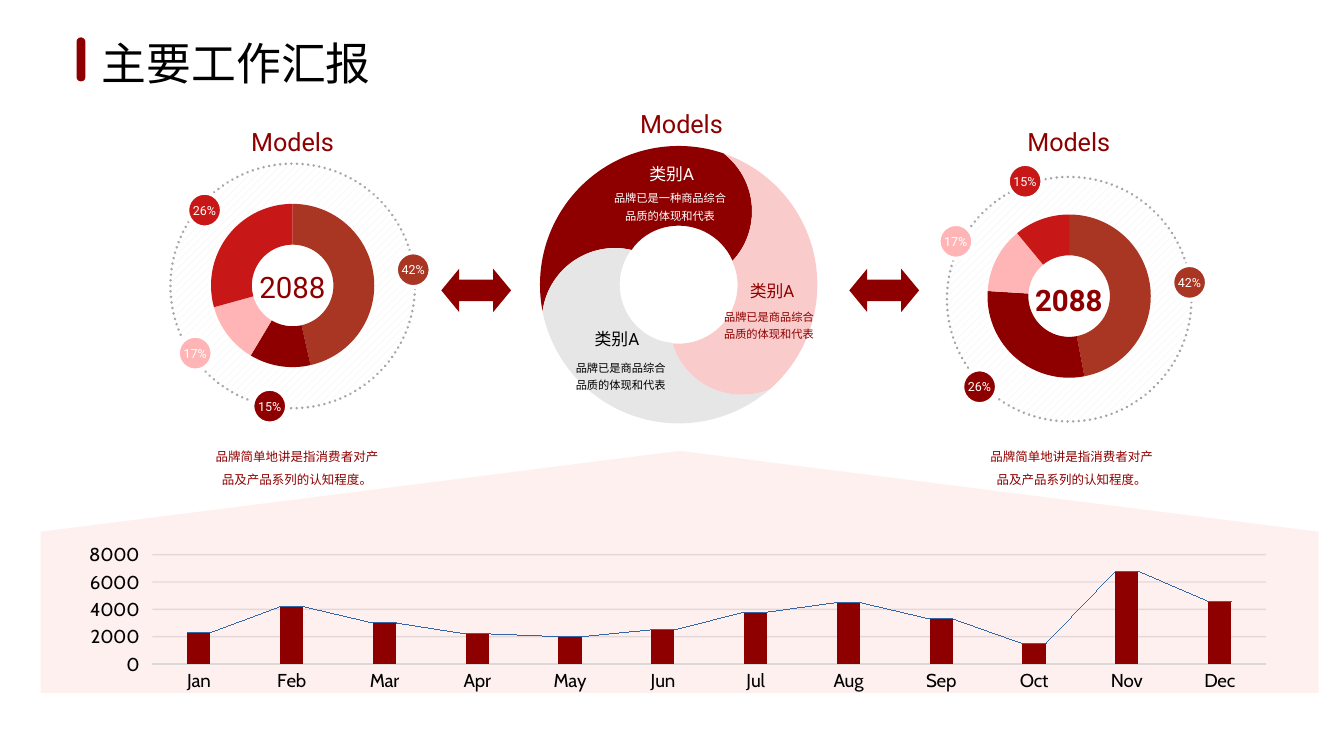
from math import cos, radians, sin, tan

from pptx import Presentation
from pptx.chart.data import CategoryChartData
from pptx.dml.color import RGBColor
from pptx.enum.chart import XL_CHART_TYPE as ChartType, XL_TICK_MARK as Tick
from pptx.enum.dml import MSO_LINE, MSO_PATTERN
from pptx.enum.shapes import MSO_SHAPE as Preset
from pptx.enum.text import MSO_ANCHOR, MSO_AUTO_SIZE, PP_ALIGN
from pptx.oxml import parse_xml
from pptx.oxml.ns import nsdecls, qn
from pptx.util import Pt

DARK_RED = RGBColor(0x8E, 0x00, 0x00)
RUST = RGBColor(0xA8, 0x36, 0x23)
PINK = RGBColor(0xFF, 0xB5, 0xB5)
RED = RGBColor(0xC7, 0x17, 0x17)
PALE_PINK = RGBColor(0xF9, 0xCB, 0xCB)
LIGHT_GREY = RGBColor(0xE7, 0xE6, 0xE6)
HATCH_GREY = RGBColor(0xF2, 0xF2, 0xF2)
DOT_GREY = RGBColor(0xA6, 0xA6, 0xA6)
AXIS_GREY = RGBColor(0xD9, 0xD9, 0xD9)
BLACK = RGBColor(0x00, 0x00, 0x00)
WHITE = RGBColor(0xFF, 0xFF, 0xFF)

SWIRL_CENTER = (363.6, 152.5)
SWIRL_OUTER, SWIRL_INNER, SWIRL_EDGE = 74.3, 31.6, 39.3

MONTHLY = {"Jan": 2300, "Feb": 4200, "Mar": 3000, "Apr": 2200,
           "May": 2000, "Jun": 2500, "Jul": 3800, "Aug": 4500,
           "Sep": 3300, "Oct": 1500, "Nov": 6800, "Dec": 4600}


def box(*lengths):
    return [Pt(length) for length in lengths]


def around(center, width, height):
    return center[0] - width / 2, center[1] - height / 2, width, height


def style_text(frame, text, font, size, color, align=PP_ALIGN.CENTER, bold=None):
    paragraph = frame.paragraphs[0]
    paragraph.text = text
    paragraph.alignment = align
    paragraph.font.name = font
    paragraph.font.size = Pt(size)
    paragraph.font.color.rgb = color
    paragraph.font.bold = bold
    return paragraph


def add_text(slide, bounds, text, size, color, font="Roboto", inset=None,
             wrap=True, **style):
    frame = slide.shapes.add_textbox(*box(*bounds)).text_frame
    frame.word_wrap = wrap
    frame.auto_size = MSO_AUTO_SIZE.SHAPE_TO_FIT_TEXT
    if inset is not None:
        frame.margin_left = frame.margin_right = Pt(inset)
        frame.margin_top = frame.margin_bottom = Pt(inset)
    return style_text(frame, text, font, size, color, **style)


def paint(shape, color):
    shape.shadow.inherit = False
    shape.fill.solid()
    shape.fill.fore_color.rgb = color
    shape.line.fill.background()
    return shape


def add_filled(slide, preset, bounds, color):
    return paint(slide.shapes.add_shape(preset, *box(*bounds)), color)


def set_opacity(element, percent):
    for color in element.iter(qn("a:srgbClr")):
        color.append(parse_xml(f'<a:alpha {nsdecls("a")} val="{percent * 1000}"/>'))


def polar(center, radius, angle):
    a = radians(angle)
    return center[0] + radius * cos(a), center[1] + radius * sin(a)


def arc(center, radius, start, end, curves):
    """Bezier points of an arc, three for each curve, without its first point."""
    step = (end - start) / curves
    pull = 4 / 3 * tan(radians(step / 4)) * radius
    points = []
    for i in range(curves):
        a, b = start + i * step, start + (i + 1) * step
        first, last = polar(center, radius, a), polar(center, radius, b)
        points += [polar(first, pull, a + 90), polar(last, pull, b - 90), last]
    return points


def add_swirl_blade(slide, turn, color):
    """One third of the swirl, turned by the given degrees."""
    def edge(angle, start, end):
        pivot = polar(SWIRL_CENTER, SWIRL_EDGE, angle - 90)
        return arc(pivot, SWIRL_EDGE, angle + start, angle + end, 2)

    outline = (edge(turn, 43, -52)
               + arc(SWIRL_CENTER, SWIRL_OUTER, turn - 71, turn - 191, 3)
               + edge(turn - 120, -52, 43)
               + arc(SWIRL_CENTER, SWIRL_INNER, turn - 144, turn - 24, 3))
    points = [box(*point) for point in outline]
    builder = slide.shapes.build_freeform(*points[-1])
    builder.add_line_segments(points, close=True)
    blade = paint(builder.convert_to_shape(), color)

    # Join each three points into one curve
    lines = list(blade._element.iter(qn("a:lnTo")))
    for i in range(0, len(lines), 3):
        curve = parse_xml(f'<a:cubicBezTo {nsdecls("a")}/>')
        lines[i].addprevious(curve)
        for line in lines[i:i + 3]:
            curve.append(line[0])
            line.getparent().remove(line)


def add_chart(slide, kind, bounds, categories, values, plot):
    """Chart whose inner plot area lies at plot, in points within the chart."""
    data = CategoryChartData()
    data.categories = categories
    data.add_series("Series 1", values)
    chart = slide.shapes.add_chart(kind, *box(*bounds), data).chart
    chart.has_title = chart.has_legend = False
    chart.font.name = "Cabin"
    chart.font.size = Pt(10)
    chart.font.color.rgb = BLACK
    sizes = "".join(f'<c:{tag} val="{length / whole}"/>'
                    for tag, length, whole in zip("xywh", plot, bounds[2:] * 2))
    layout = parse_xml(
        f'<c:layout {nsdecls("c")}><c:manualLayout><c:layoutTarget val="inner"/>'
        f'<c:xMode val="edge"/><c:yMode val="edge"/>{sizes}</c:manualLayout></c:layout>')
    area = chart._chartSpace.chart.plotArea
    for old in area.findall(qn("c:layout")):
        area.remove(old)
    area.insert(0, layout)
    return chart


def add_ring(slide, center, values, badges, chart_rise, bold=None):
    x, y = center
    disc = add_filled(slide, Preset.OVAL, around(center, 131, 131), WHITE)
    disc.fill.patterned()
    disc.fill.pattern = MSO_PATTERN.WIDE_UPWARD_DIAGONAL
    disc.fill.fore_color.rgb = HATCH_GREY
    disc.fill.back_color.rgb = WHITE
    disc.line.color.rgb = DOT_GREY
    disc.line.width = Pt(1.5)
    disc.line.dash_style = MSO_LINE.ROUND_DOT
    disc._element.spPr.find(qn("a:ln")).set("cap", "rnd")
    add_filled(slide, Preset.OVAL, around(center, 70.6, 70.6), WHITE)

    chart = add_chart(slide, ChartType.DOUGHNUT,
                      around((x, y - chart_rise), 160.6, 107.3),
                      ["1", "2", "3", "4"], values,
                      around((80.3, 53.65), 87.5, 87.5))
    doughnut = chart.plots[0]
    doughnut._element.find(qn("c:holeSize")).set("val", "75")
    for i, color in enumerate((RUST, DARK_RED, PINK, RED)):
        part = doughnut.series[0].points[i].format
        part.fill.solid()
        part.fill.fore_color.rgb = color
        part.line.fill.background()

    add_text(slide, around((x - 0.2, y + 0.8), 56, 26.6), "2088", 15.75, DARK_RED,
             bold=bold)
    for label, color, dx, dy in badges:
        badge = add_filled(slide, Preset.OVAL, around((x + dx, y + dy), 18.7, 18.7), color)
        badge.line.color.rgb = WHITE
        badge.line.width = Pt(2.25)
        badge.text_frame.word_wrap = False
        badge.text_frame.vertical_anchor = MSO_ANCHOR.MIDDLE
        style_text(badge.text_frame, label, "Roboto", 6.75, WHITE)


def add_monthly_columns(slide):
    chart = add_chart(slide, ChartType.COLUMN_STACKED, (34.6, 289.4, 656.6, 82.8),
                      list(MONTHLY), list(MONTHLY.values()), (47.1, 7.8, 596.6, 58.6))
    columns = chart.plots[0]
    columns.vary_by_categories = False
    columns.gap_width, columns.overlap = 300, 100
    columns.series[0].format.fill.solid()
    columns.series[0].format.fill.fore_color.rgb = DARK_RED
    columns._element.find(qn("c:overlap")).addnext(
        parse_xml(f'<c:serLines {nsdecls("c")}/>'))

    months, amounts = chart.category_axis, chart.value_axis
    months.major_tick_mark = Tick.NONE
    months.format.line.color.rgb = AXIS_GREY
    months.format.line.width = Pt(0.75)
    amounts.minimum_scale, amounts.maximum_scale, amounts.major_unit = 0, 8000, 2000
    amounts.major_tick_mark = Tick.OUTSIDE
    amounts.format.line.fill.background()
    grid = amounts.major_gridlines.format.line
    grid.color.rgb = BLACK
    grid.width = Pt(0.75)
    set_opacity(amounts._element.find(qn("c:majorGridlines")), 10)


def main():
    prs = Presentation()
    prs.slide_width, prs.slide_height = Pt(720), Pt(405)
    slide = prs.slides.add_slide(prs.slide_layouts[6])

    # Title
    add_text(slide, (47.5, 15.8, 159.8, 36), "主要工作汇报", 24, BLACK, "Cabin",
             wrap=False, align=PP_ALIGN.LEFT)
    marker = add_filled(slide, Preset.ROUNDED_RECTANGLE, (41, 20, 4.8, 23.6), DARK_RED)
    marker.adjustments[0] = 0.5

    # Central swirl
    for turn, color in ((0, DARK_RED), (-120, LIGHT_GREY), (120, PALE_PINK)):
        add_swirl_blade(slide, turn, color)
    blade_texts = (
        ((331.7, 84.2, 56.2, 18), (321.5, 96.9, 74.9, 25.2),
         "品牌已是一种商品综合品质的体现和代表", WHITE),
        ((390.2, 146.9, 46.8, 18), (380.6, 160.3, 62.6, 25.2),
         "品牌已是商品综合品质的体现和代表", DARK_RED),
        ((302.4, 172.8, 56.2, 18), (299.7, 187.6, 65.5, 25.2),
         "品牌已是商品综合品质的体现和代表", BLACK),
    )
    for heading_bounds, body_bounds, body, color in blade_texts:
        add_text(slide, heading_bounds, "类别A", 9, color).space_after = Pt(4.5)
        add_text(slide, body_bounds, body, 6, color, "Karla").line_spacing = 1.3

    # Monthly columns on a pointed backdrop
    backdrop = add_filled(slide, Preset.PENTAGON, (299.3, -36, 129.6, 684.7), PINK)
    backdrop.adjustments[0] = 0.334
    backdrop.rotation = 270
    set_opacity(backdrop._element.spPr, 20)
    add_monthly_columns(slide)

    # Rings on both sides
    add_ring(slide, (156.8, 153.2), (46, 12, 12, 29),
             (("42%", RUST, 64.6, -8.7), ("15%", DARK_RED, -12.3, 64.4),
              ("17%", PINK, -52.2, 36), ("26%", RED, -47.2, -40.6)), 0.2)
    add_ring(slide, (572.8, 160.3), (47, 29, 13, 11),
             (("42%", RUST, 64.5, -9), ("26%", DARK_RED, -48, 46.9),
              ("17%", PINK, -60.7, -31), ("15%", RED, -23.6, -63.2)), 1.6, bold=True)
    for left, width in ((106.3, 105.8), (520.2, 108)):
        add_text(slide, (left, 232.9, width, 30.2),
                 "品牌简单地讲是指消费者对产品及产品系列的认知程度。",
                 6.75, DARK_RED).line_spacing = 1.5

    # Arrows and headings
    for left in (236.4, 455):
        arrow = add_filled(slide, Preset.LEFT_RIGHT_ARROW, (left, 144, 37.4, 23.2), DARK_RED)
        arrow.adjustments[1] = 0.413
    for left, top in ((116.8, 66.2), (532.6, 66.2), (325.1, 56.5)):
        add_text(slide, (left, top, 79.9, 19.4), "Models", 13.5, DARK_RED, inset=1.5)

    prs.save("out.pptx")


if __name__ == "__main__":
    main()
